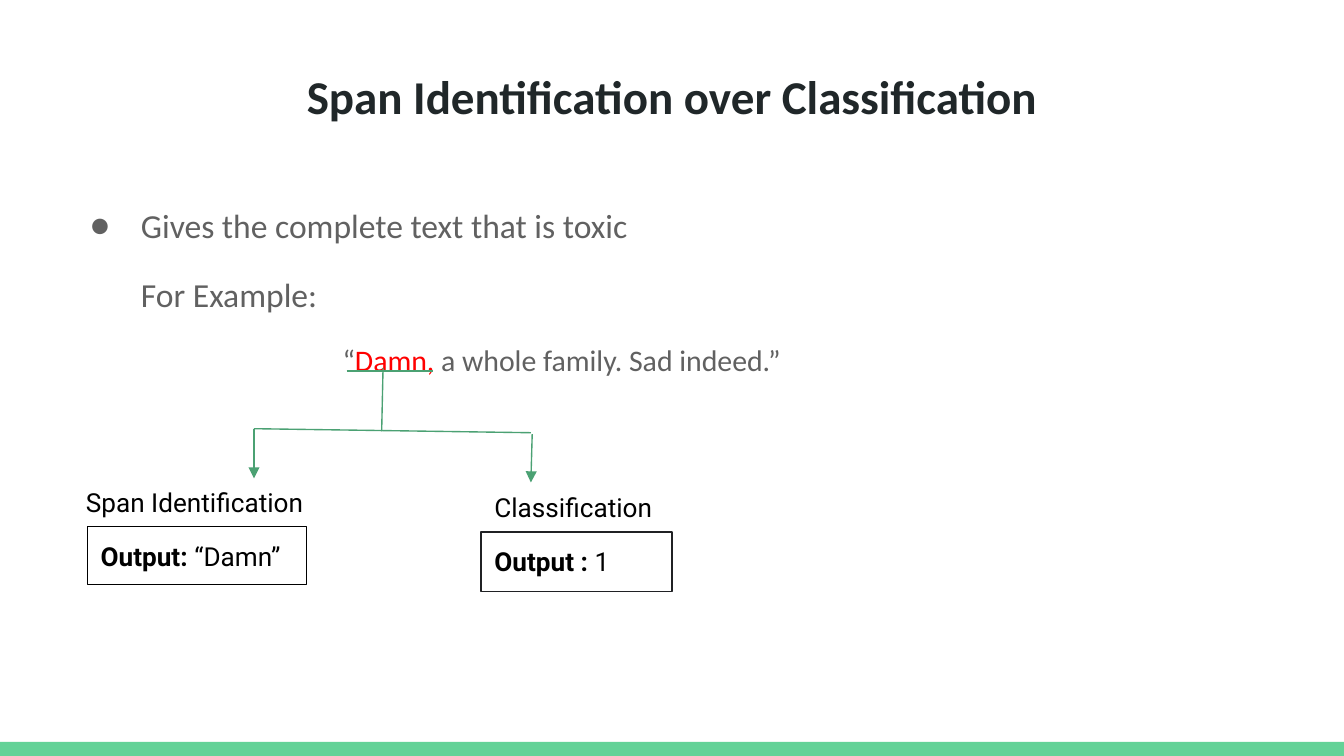
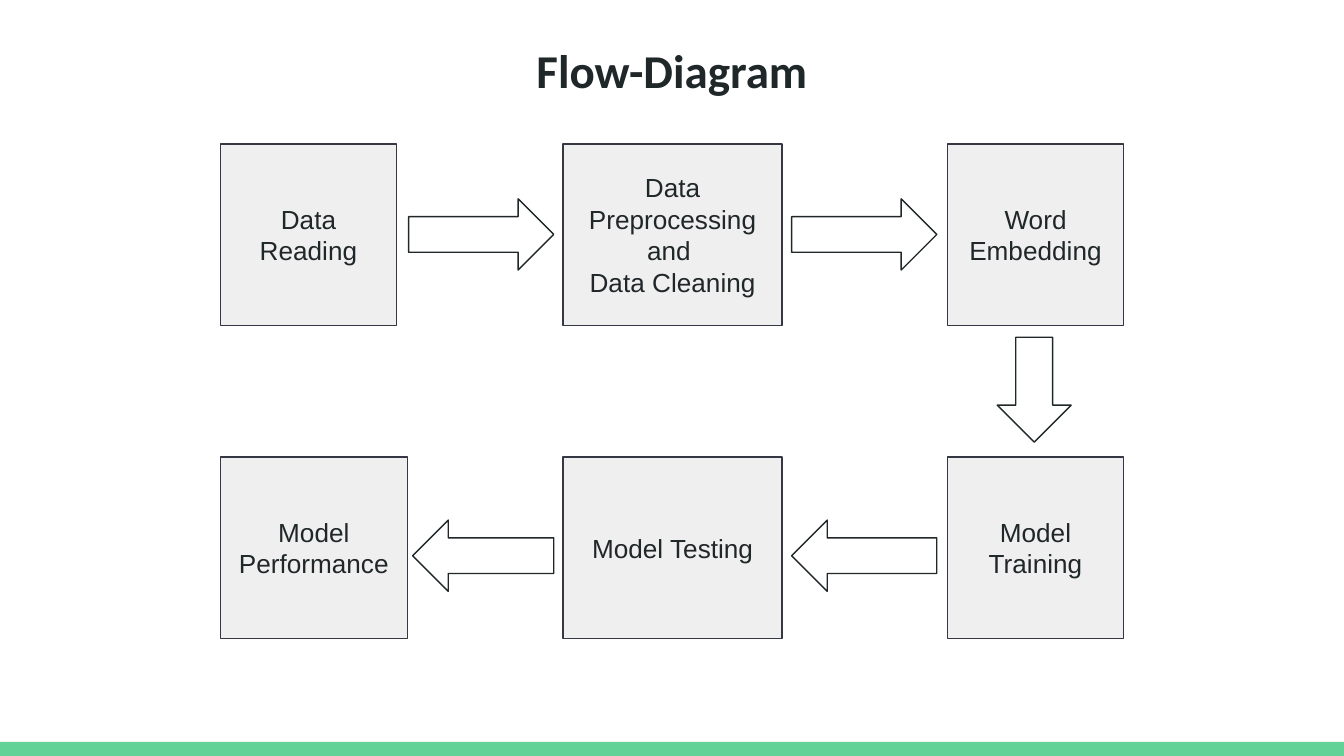
from lxml.etree import SubElement
from pptx import Presentation
from pptx.dml.color import RGBColor
from pptx.enum.shapes import MSO_CONNECTOR, MSO_SHAPE
from pptx.enum.text import MSO_ANCHOR, PP_ALIGN
from pptx.oxml.ns import qn
from pptx.util import Inches, Pt

INK = "202729"
GREY = "616161"
BLACK = "000000"
RED = "FF0000"
BAND = "63D297"
BRANCH = "4BA173"


def add_box(slide, kind, at, fill=None, line=None):
    box = slide.shapes.add_shape(kind, *map(Inches, at))
    box.shadow.inherit = False
    if fill:
        box.fill.solid()
        box.fill.fore_color.rgb = RGBColor.from_string(fill)
    else:
        box.fill.background()
    if line:
        box.line.color.rgb = RGBColor.from_string(line)
        box.line.width = Pt(0.75)
    else:
        box.line.fill.background()
    return box


def write(holder, runs, size=14, font="Roboto", color=BLACK, align=PP_ALIGN.LEFT,
          anchor=MSO_ANCHOR.TOP, left=0, first=0, spacing=1, before=0, bullet=None):
    """Add one paragraph; each run is (text, bold, colour or None)."""
    frame = holder.text_frame
    frame.word_wrap = True
    frame.vertical_anchor = anchor
    frame.margin_left = frame.margin_right = Inches(0.1)
    frame.margin_top = frame.margin_bottom = Inches(0.1)
    paragraph = frame.add_paragraph() if frame.text else frame.paragraphs[0]
    paragraph.alignment = align
    paragraph.line_spacing = spacing
    paragraph.space_before = Pt(before)
    properties = paragraph._p.get_or_add_pPr()
    properties.set("marL", str(Inches(left)))
    properties.set("indent", str(Inches(first)))
    if bullet:
        SubElement(SubElement(properties, qn("a:buClr")), qn("a:srgbClr"), val=color)
        SubElement(properties, qn("a:buSzPts"), val=str(size * 100))
        SubElement(properties, qn("a:buFont"), typeface=font)
        SubElement(properties, qn("a:buChar"), char=bullet)
    for text, bold, run_color in runs:
        run = paragraph.add_run()
        run.text = text
        run.font.size = Pt(size)
        run.font.name = font
        run.font.bold = bold
        run.font.color.rgb = RGBColor.from_string(run_color or color)


# 16:9 page
deck = Presentation()
deck.slide_width = Inches(10)
deck.slide_height = deck.slide_width * 9 // 16

# Shared band and title
pages = []
for heading, heading_at in [
    ("Span Identification over Classification", (0.34, 0.4, 9.32, 0.66)),
    ("Flow-Diagram", (0.41, 0.21, 9.18, 0.66)),
]:
    page = deck.slides.add_slide(deck.slide_layouts[6])
    add_box(page, MSO_SHAPE.RECTANGLE, (0, 5.52, 10, 0.11), fill=BAND)
    title = page.shapes.add_textbox(*map(Inches, heading_at))
    write(title, [(heading, True, None)], size=25.2, font="Calibri", color=INK,
          align=PP_ALIGN.CENTER)
    pages.append(page)
comparison, flow = pages

# Slide 1: explanation and example sentence
body = comparison.shapes.add_textbox(*map(Inches, (0.45, 1.38, 9.32, 3.65)))
body_style = dict(font="Calibri", color=GREY, spacing=1.15)
write(body, [("Gives the complete text that is toxic", False, None)], size=18,
      left=0.5, first=-0.38, bullet="●", **body_style)
write(body, [("For Example:", False, None)], size=18, left=0.5, before=12, **body_style)
write(body, [("“", False, None), ("Damn,", False, RED),
             (" a whole family. Sad indeed.”", False, None)],
      size=16, left=1.5, first=0.5, before=12, **body_style)

# Underline and branches from the toxic word to both tasks
for x1, y1, x2, y2, has_arrow in [
    (2.58, 2.76, 3.22, 2.76, False),
    (2.85, 2.74, 2.84, 3.21, False),
    (1.89, 3.19, 3.95, 3.22, False),
    (1.89, 3.19, 1.89, 3.56, True),
    (3.96, 3.23, 3.95, 3.59, True),
]:
    branch = comparison.shapes.add_connector(
        MSO_CONNECTOR.STRAIGHT, *map(Inches, (x1, y1, x2, y2)))
    branch.line.color.rgb = RGBColor.from_string(BRANCH)
    branch.line.width = Pt(0.75)
    if has_arrow:
        SubElement(branch.line._get_or_add_ln(), qn("a:tailEnd"), type="triangle")
    SubElement(branch._element.spPr, qn("a:effectLst"))

# Task names and their outputs
for task, task_at, label, value, output_at, outline in [
    ("Span Identification", (0.54, 3.52, 1.92, 0.44),
     "Output:", " “Damn”", (0.65, 3.92, 1.63, 0.43), BLACK),
    ("Classification", (3.58, 3.56, 1.63, 0.44),
     "Output :", " 1", (3.58, 3.96, 1.42, 0.44), "202124"),
]:
    task_name = comparison.shapes.add_textbox(*map(Inches, task_at))
    write(task_name, [(task, False, None)])
    output = add_box(comparison, MSO_SHAPE.RECTANGLE, output_at, line=outline)
    write(output, [(label, True, None), (value, False, None)])

# Slide 2: process steps in two rows
TOP_ROW, BOTTOM_ROW = 1.07, 3.4
for left, top, width, lines in [
    (1.64, TOP_ROW, 1.31, ["Data Reading"]),
    (4.19, TOP_ROW, 1.63, ["Data Preprocessing and ", "Data Cleaning"]),
    (7.05, TOP_ROW, 1.31, ["Word Embedding"]),
    (7.05, BOTTOM_ROW, 1.31, ["Model Training"]),
    (4.19, BOTTOM_ROW, 1.63, ["Model Testing"]),
    (1.64, BOTTOM_ROW, 1.39, ["Model Performance"]),
]:
    step = add_box(flow, MSO_SHAPE.RECTANGLE, (left, top, width, 1.35),
                   fill="EFEFEF", line="353744")
    for line in lines:
        write(step, [(line, False, None)], font="Arial", color=INK,
              align=PP_ALIGN.CENTER, anchor=MSO_ANCHOR.MIDDLE)

# Block arrows between the steps
for direction, arrow_at in [
    (MSO_SHAPE.RIGHT_ARROW, (3.04, 1.48, 1.08, 0.53)),
    (MSO_SHAPE.RIGHT_ARROW, (5.89, 1.48, 1.08, 0.53)),
    (MSO_SHAPE.DOWN_ARROW, (7.42, 2.51, 0.55, 0.78)),
    (MSO_SHAPE.LEFT_ARROW, (5.89, 3.87, 1.08, 0.53)),
    (MSO_SHAPE.LEFT_ARROW, (3.07, 3.87, 1.05, 0.53)),
]:
    add_box(flow, direction, arrow_at, fill="FFFFFF", line=INK)

deck.save("out.pptx")
